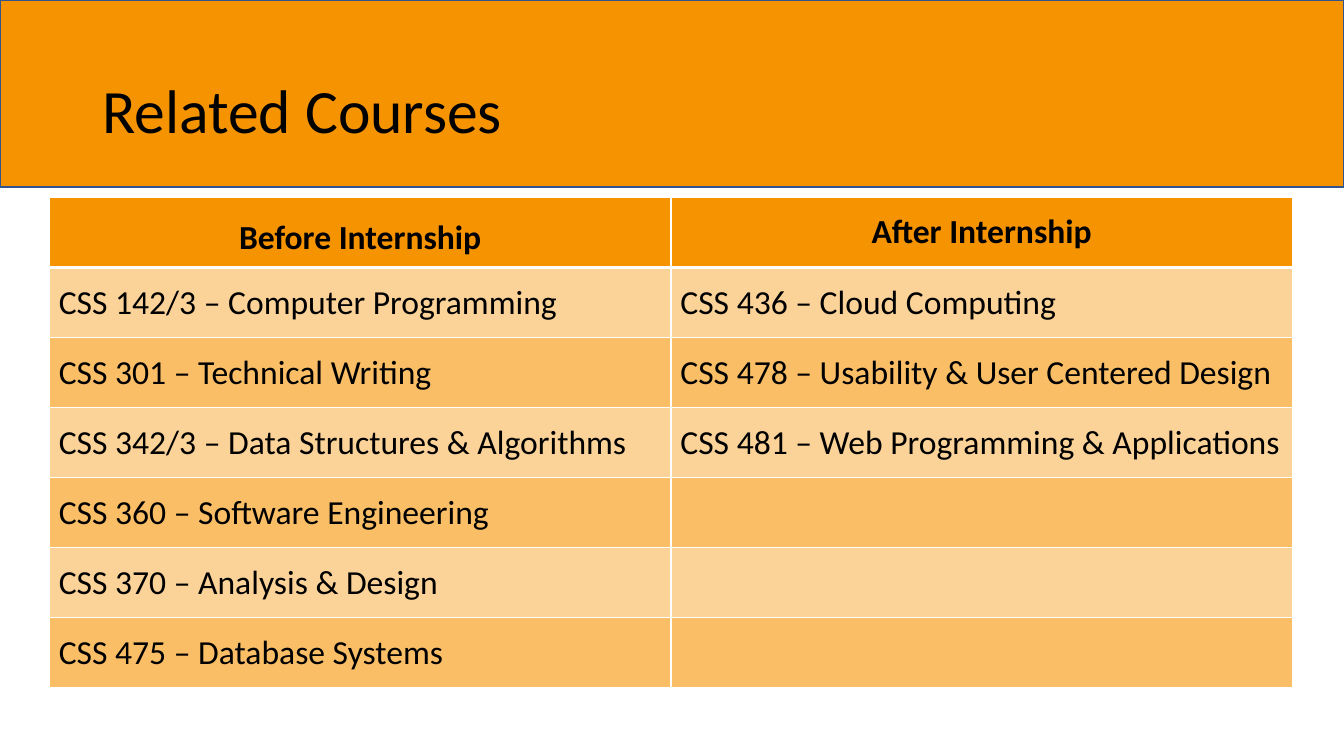
from itertools import zip_longest

from lxml import etree
from pptx import Presentation
from pptx import util as u
from pptx.dml.color import RGBColor
from pptx.enum import shapes, text
from pptx.oxml.ns import qn

PX = 9525
ORANGE, BLACK, WHITE, NAVY = "F59301", "000000", "FFFFFF", "325491"
HEADINGS = ("Before Internship", "After Internship")
BEFORE = (
    "CSS 142/3 – Computer Programming",
    "CSS 301 – Technical Writing",
    "CSS 342/3 – Data Structures & Algorithms",
    "CSS 360 – Software Engineering",
    "CSS 370 – Analysis & Design",
    "CSS 475 – Database Systems",
)
AFTER = (
    "CSS 436 – Cloud Computing",
    "CSS 478 – Usability & User Centered Design",
    "CSS 481 – Web Programming & Applications",
)


def px(length):
    """Turn pixels into EMU."""
    return u.Emu(round(length * PX))


def paint(fill, color, opacity=100):
    """Fill with a solid colour at an opacity in percent."""
    fill.solid()
    fill.fore_color.rgb = RGBColor.from_string(color)
    if opacity < 100:
        tint = fill._xPr.find(qn("a:solidFill"))[0]
        etree.SubElement(tint, qn("a:alpha"), val=str(opacity * 1000))


def write(paragraph, words, size, bold=False):
    """Add one run of black Calibri text."""
    run = paragraph.add_run()
    run.text = words
    run.font.name = "Calibri"
    run.font.size = u.Pt(size)
    run.font.bold = bold
    run.font.color.rgb = RGBColor.from_string(BLACK)


def border(cell, side, points):
    """Draw a white line on one side of a cell."""
    edge = etree.SubElement(cell._tc.get_or_add_tcPr(), qn(f"a:ln{side}"), w=str(u.Pt(points)))
    solid = etree.SubElement(edge, qn("a:solidFill"))
    etree.SubElement(solid, qn("a:srgbClr"), val=WHITE)


def add_banner(slide, left, top, width, height):
    """Place the orange banner with the slide title."""
    banner = slide.shapes.add_shape(
        shapes.MSO_SHAPE.RECTANGLE, px(left), px(top), px(width), px(height))
    banner.shadow.inherit = False
    paint(banner.fill, ORANGE)
    banner.line.color.rgb = RGBColor.from_string(NAVY)
    banner.line.width = u.Pt(1)

    title = slide.shapes.add_textbox(
        px(left + 88), px(top + 38), px(width - 176), px(height - 38)).text_frame
    title.word_wrap = True
    title.vertical_anchor = text.MSO_ANCHOR.MIDDLE
    title.paragraphs[0].line_spacing = 0.9
    write(title.paragraphs[0], "Related Courses", 44)


def add_courses(slide, left, top, width, height):
    """Place the table of courses before and after the internship."""
    rows = [HEADINGS, *zip_longest(BEFORE, AFTER, fillvalue="")]
    courses = slide.shapes.add_table(
        len(rows), len(HEADINGS), px(left), px(top), px(width), px(height)).table
    for row, entries in enumerate(rows):
        heading = row == 0
        for column, entry in enumerate(entries):
            cell = courses.cell(row, column)
            cell.margin_left = cell.margin_right = cell.margin_bottom = px(9)
            cell.margin_top = px(19 if heading and column == 0 else 14)
            for side in "LRTB":
                thick = (row, side) in ((0, "B"), (1, "T"))
                border(cell, side, 3 if thick else 1)
            paint(cell.fill, ORANGE, 100 if heading else 40 if row % 2 else 60)
            paragraph = cell.text_frame.paragraphs[0]
            if heading:
                paragraph.alignment = text.PP_ALIGN.CENTER
            if entry:
                write(paragraph, entry, 24, bold=heading)


def main():
    """Build and save the slide."""
    deck = Presentation()
    deck.slide_width, deck.slide_height = px(1280), px(720)
    slide = deck.slides.add_slide(deck.slide_layouts[6])
    add_banner(slide, 0, 0, 1280, 178)
    add_courses(slide, 47, 188, 1184, 467)
    deck.save("out.pptx")


if __name__ == "__main__":
    main()
